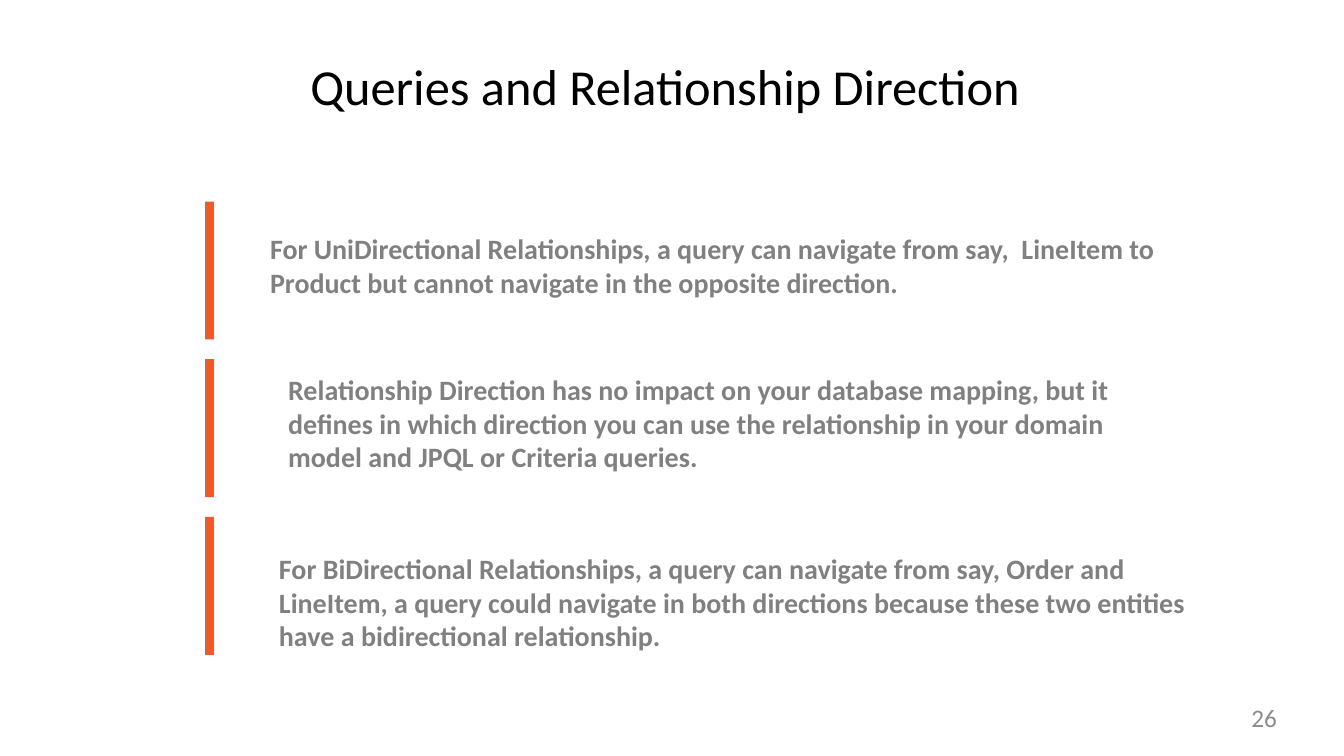
import dataclasses

import pptx
import pptx.dml.color
import pptx.enum.shapes
import pptx.enum.text
import pptx.util


@dataclasses.dataclass(frozen=True)
class Theme:
    font: str = "Calibri"
    accent: str = "EF5A28"
    title_color: str = "000000"
    body_color: str = "808080"
    number_color: str = "8C8C8C"
    title_size: int = 36
    body_size: int = 20
    number_size: int = 18


theme = Theme()
Pt = pptx.util.Pt
Align = pptx.enum.text.PP_ALIGN


def place(shape, left, top, width, height):
    shape.left, shape.top = Pt(left), Pt(top)
    shape.width, shape.height = Pt(width), Pt(height)


def write(shape, text, size, color, align, bold=False):
    frame = shape.text_frame
    frame.word_wrap = True
    frame.vertical_anchor = pptx.enum.text.MSO_ANCHOR.TOP
    frame.text = text
    para = frame.paragraphs[0]
    para.alignment = align
    span = para.runs[0]
    span.font.name = theme.font
    span.font.size = Pt(size)
    span.font.bold = bold
    span.font.color.rgb = pptx.dml.color.RGBColor.from_string(color)


deck = pptx.Presentation()
deck.slide_width, deck.slide_height = Pt(960), Pt(540)
page = deck.slides.add_slide(deck.slide_layouts.get_by_name("Title Only"))

title = page.shapes.title
place(title, 198, 36, 554.4, 51)
write(title, "Queries and Relationship Direction",
      theme.title_size, theme.title_color, Align.CENTER)

statements = [
    ("For UniDirectional Relationships, a query can navigate from say,  LineItem to "
     "Product but cannot navigate in the opposite direction.",
     185.8, 162, 689, 55.4),
    ("Relationship Direction has no impact on your database mapping, but it defines "
     "in which direction you can use the relationship in your domain model and JPQL "
     "or Criteria queries.",
     198.7, 262.5, 641.5, 80),
    ("For BiDirectional Relationships, a query can navigate from say, Order and "
     "LineItem, a query could navigate in both directions because these two entities "
     "have a bidirectional relationship.",
     192.2, 390.5, 689, 80),
]
bar_top, bar_pitch = 144, 112.6

for index, (text, left, top, width, height) in enumerate(statements):
    bar = page.shapes.add_shape(
        pptx.enum.shapes.MSO_SHAPE.RECTANGLE,
        Pt(146.6), Pt(bar_top + index * bar_pitch), Pt(6.3), Pt(98.5))
    bar.shadow.inherit = False
    bar.fill.solid()
    bar.fill.fore_color.rgb = pptx.dml.color.RGBColor.from_string(theme.accent)
    bar.line.fill.background()

    box = page.shapes.add_textbox(Pt(left), Pt(top), Pt(width), Pt(height))
    write(box, text, theme.body_size, theme.body_color, Align.LEFT, bold=True)

number = page.shapes.add_textbox(Pt(691.2), Pt(502), Pt(221), Pt(27.4))
frame = number.text_frame
frame.margin_left = frame.margin_right = frame.margin_top = frame.margin_bottom = 0
write(number, "26", theme.number_size, theme.number_color, Align.RIGHT)

deck.save("out.pptx")
